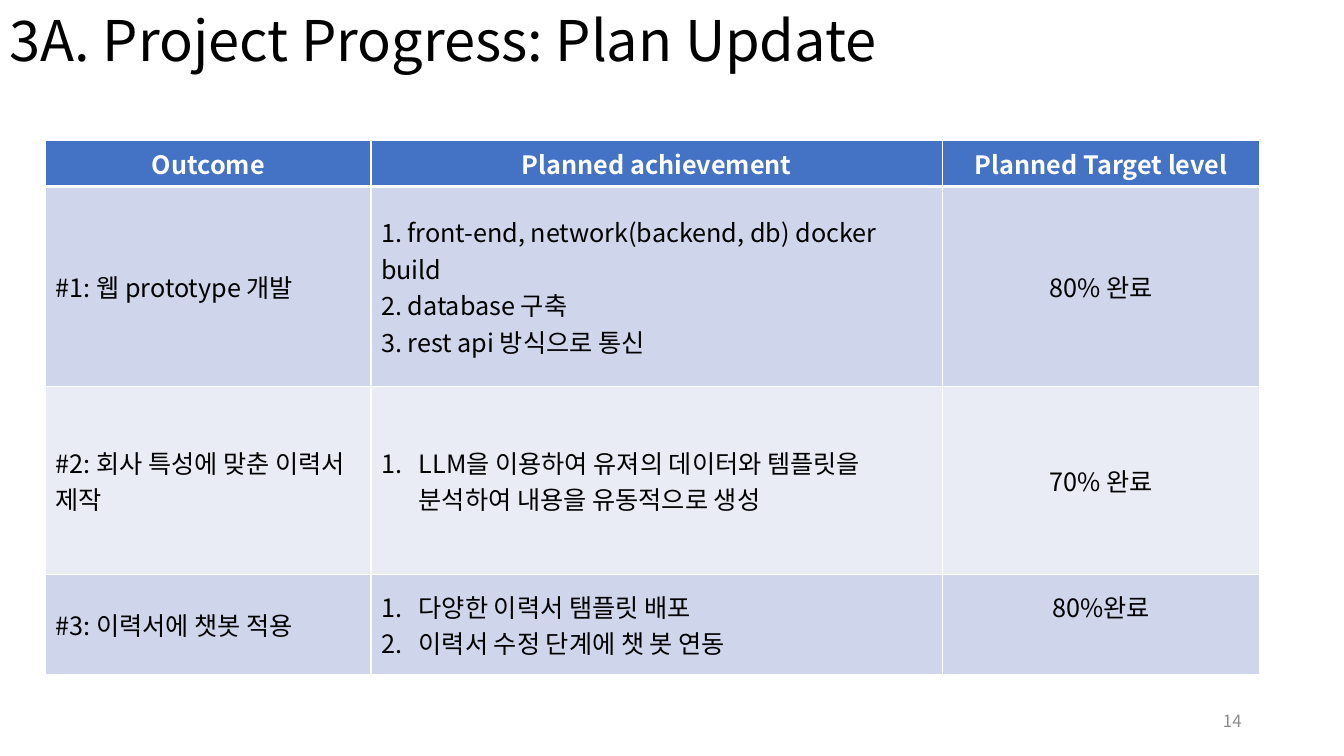
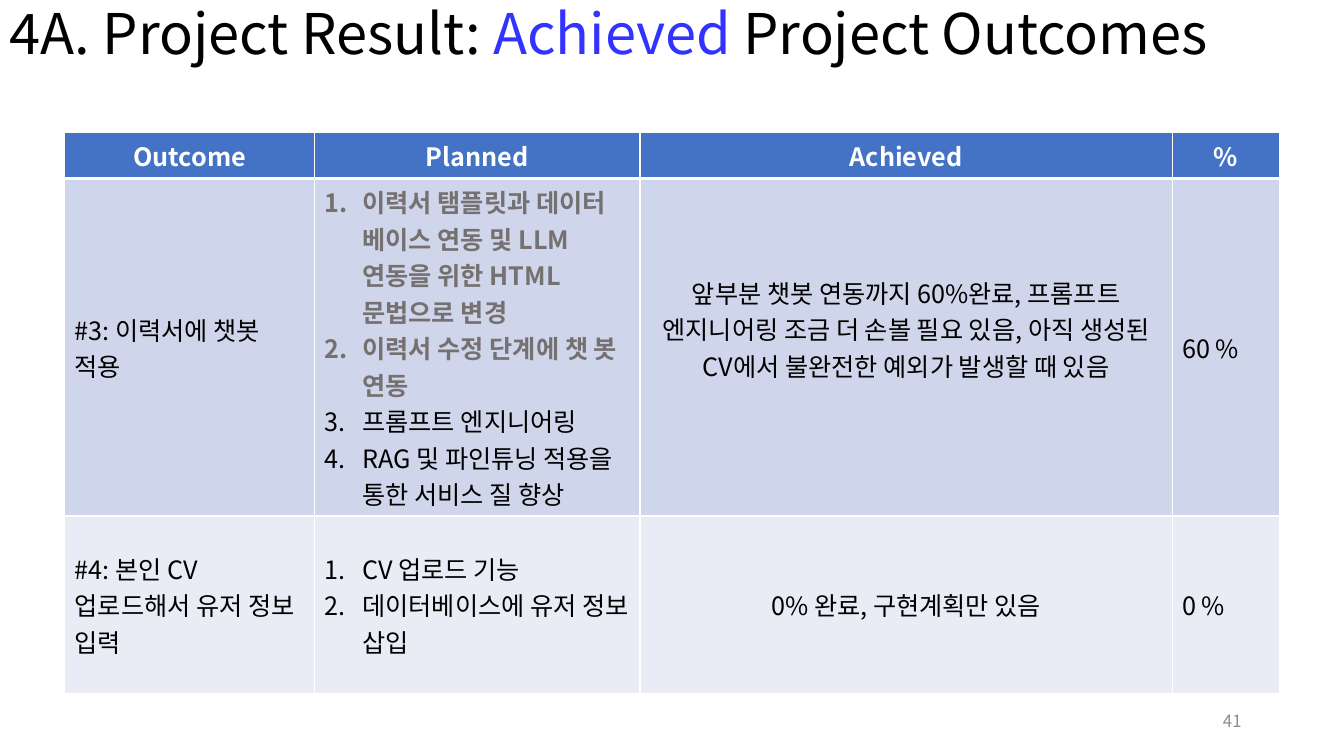
from dataclasses import dataclass

from lxml.etree import SubElement as Sub
from pptx import Presentation
from pptx.dml.color import RGBColor
from pptx.enum.text import MSO_ANCHOR as ANCHOR, PP_ALIGN as ALIGN
from pptx.oxml.ns import qn
from pptx.util import Cm, Pt

FONT = "Noto Sans CJK KR"
WHITE, BLACK, GREY = "FFFFFF", "000000", "8C8C8C"
HEADER, BANDS = "4472C4", ("CFD5EA", "E9EBF5")
ACCENT, MUTED = "3333FF", "767171"
TITLE = {"size": Pt(40)}
NUMBER = {"size": Pt(12)}
HEAD = {"size": Pt(18), "bold": True}
BODY = {"size": Pt(18), "bold": False}
HEADER_H = 1.17
LINE_H = 0.92
HANG = Cm(0.95)


@dataclass
class Cell:
    """Content of a body cell; the first muted lines are grey and bold."""
    lines: list
    numbered: bool = False
    muted: int = 0
    align: ALIGN = ALIGN.LEFT
    raised: bool = False


def rgb(value):
    """Turn a hex string into a colour."""
    return RGBColor.from_string(value)


def apply(obj, fmt):
    """Set every attribute in a dict of format values."""
    for name, value in fmt.items():
        setattr(obj, name, value)


def add_run(p, text, fmt, color):
    """Add a run with Latin and East Asian fonts set."""
    r = p.add_run()
    r.text = text
    apply(r.font, {"name": FONT, **fmt})
    r.font.color.rgb = rgb(color)
    Sub(r.font._element, qn("a:ea"), typeface=FONT)


def add_text(s, box, runs, fmt, **para):
    """Add a one-paragraph text box of (text, colour) runs."""
    tf = s.shapes.add_textbox(*map(Cm, box)).text_frame
    apply(tf, {"word_wrap": True, "vertical_anchor": ANCHOR.MIDDLE})
    p = tf.paragraphs[0]
    apply(p, para)
    for text, color in runs:
        add_run(p, text, fmt, color)


def number(p):
    """Give a paragraph an automatic number and a hanging indent."""
    pPr = p._p.get_or_add_pPr()
    pPr.set("marL", str(HANG))
    pPr.set("indent", str(-HANG))
    Sub(pPr, qn("a:buFont"), typeface=FONT)
    Sub(pPr, qn("a:buAutoNum"), type="arabicPeriod")


def style_cell(cell, fill, top=1, bottom=1):
    """Draw the white borders of a cell and fill it."""
    tcPr = cell._tc.get_or_add_tcPr()
    for side, width in zip("LRTB", (1, 1, top, bottom)):
        ln = Sub(tcPr, qn("a:ln" + side), w=str(Pt(width)))
        Sub(Sub(ln, qn("a:solidFill")), qn("a:srgbClr"), val=WHITE)
    cell.fill.solid()
    cell.fill.fore_color.rgb = rgb(fill)


def fill_header(cell, text):
    """Write a header cell."""
    style_cell(cell, HEADER, bottom=3)
    p = cell.text_frame.paragraphs[0]
    p.alignment = ALIGN.CENTER
    add_run(p, text, HEAD, WHITE)


def fill_body(cell, item, row):
    """Write a body cell in the band colour of its row."""
    style_cell(cell, BANDS[row % 2], top=1 if row else 3)
    cell.vertical_anchor = ANCHOR.MIDDLE
    if item.raised:
        cell.margin_bottom = Cm(0.13 + LINE_H)
    tf = cell.text_frame
    for i, line in enumerate(item.lines):
        p = tf.add_paragraph() if i else tf.paragraphs[0]
        p.alignment = item.align
        if item.numbered:
            number(p)
        muted = i < item.muted
        add_run(p, line, {**BODY, "bold": muted}, MUTED if muted else BLACK)


def add_grid(s, left, top, widths, heights, header, rows):
    """Add a table with a header row and banded body rows."""
    heights = [HEADER_H, *heights]
    size = map(Cm, (left, top, sum(widths), sum(heights)))
    tbl = s.shapes.add_table(len(heights), len(widths), *size).table
    apply(tbl, {"first_row": False, "horz_banding": False})
    for col, width in zip(tbl.columns, widths):
        col.width = Cm(width)
    for row, height in zip(tbl.rows, heights):
        row.height = Cm(height)
    for c, text in enumerate(header):
        fill_header(tbl.cell(0, c), text)
    for r, row in enumerate(rows):
        for c, item in enumerate(row):
            fill_body(tbl.cell(r + 1, c), item, r)


def add_page(prs, title, title_h, page):
    """Add a blank slide with its title and page number."""
    s = prs.slides.add_slide(prs.slide_layouts[6])
    add_text(s, (0, -0.08, 33.87, title_h), title, TITLE, line_spacing=0.9)
    add_text(s, (23.92, 17.65, 7.62, 1.02), [(page, GREY)], NUMBER,
             alignment=ALIGN.RIGHT)
    return s


def plan_slide(prs):
    """Build the plan update."""
    s = add_page(prs, [("3A. Project Progress: Plan Update", BLACK)], 2.34, "14")
    mid = ALIGN.CENTER
    rows = [
        [Cell(["#1: 웹 prototype 개발"]),
         Cell(["1. front-end, network(backend, db) docker build",
               "2. database 구축", "3. rest api 방식으로 통신"]),
         Cell(["80% 완료"], align=mid)],
        [Cell(["#2: 회사 특성에 맞춘 이력서 제작"]),
         Cell(["LLM을 이용하여 유져의 데이터와 템플릿을 분석하여 내용을 유동적으로 생성"],
              numbered=True),
         Cell(["70% 완료"], align=mid)],
        [Cell(["#3: 이력서에 챗봇 적용"]),
         Cell(["다양한 이력서 탬플릿 배포", "이력서 수정 단계에 챗 봇 연동"],
              numbered=True),
         Cell(["80%완료"], align=mid, raised=True)],
    ]
    add_grid(s, 1.15, 3.53, (8.2, 14.4, 8), (5.03, 4.75, 2.51),
             ("Outcome", "Planned achievement", "Planned Target level"), rows)


def result_slide(prs):
    """Build the achieved outcomes."""
    title = [("4A. Project Result: ", BLACK), ("Achieved ", ACCENT),
             ("Project Outcomes", BLACK)]
    s = add_page(prs, title, 2, "41")
    mid = ALIGN.CENTER
    rows = [
        [Cell(["#3: 이력서에 챗봇 적용"]),
         Cell(["이력서 탬플릿과 데이터 베이스 연동 및 LLM 연동을 위한 HTML문법으로 변경",
               "이력서 수정 단계에 챗 봇 연동", "프롬프트 엔지니어링",
               "RAG 및 파인튜닝 적용을 통한 서비스 질 향상"],
              numbered=True, muted=2),
         Cell(["앞부분 챗봇 연동까지 60%완료, 프롬프트 엔지니어링 조금 더 손볼 "
               "필요 있음, 아직 생성된 CV에서 불완전한 예외가 발생할 때 있음"],
              align=mid, raised=True),
         Cell(["60 %"])],
        [Cell(["#4: 본인 CV 업로드해서 유저 정보 입력"]),
         Cell(["CV 업로드 기능", "데이터베이스에 유저 정보 삽입"], numbered=True),
         Cell(["0% 완료, 구현계획만 있음"], align=mid),
         Cell(["0 %"])],
    ]
    add_grid(s, 1.63, 3.33, (6.3, 8.2, 13.41, 2.7), (8.5, 4.47),
             ("Outcome", "Planned", "Achieved", "%"), rows)


def main():
    """Build and save the presentation."""
    prs = Presentation()
    apply(prs, {"slide_width": Cm(33.87), "slide_height": Cm(19.05)})
    plan_slide(prs)
    result_slide(prs)
    prs.save("out.pptx")


if __name__ == "__main__":
    main()
